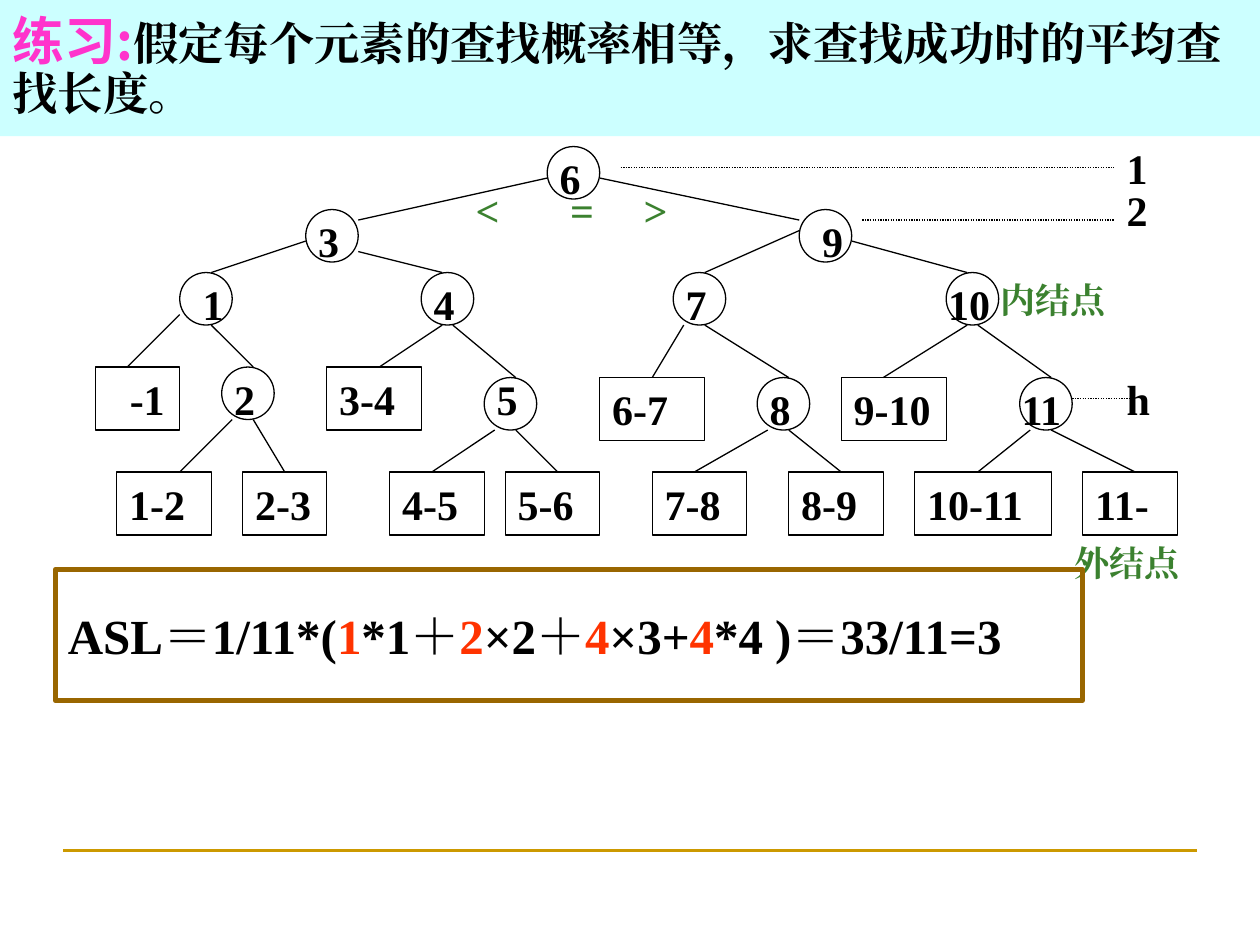
import pptx
import pptx.dml.color
import pptx.enum.dml
import pptx.enum.shapes
import pptx.enum.text
import pptx.oxml.ns
import pptx.util
from pptx.util import Inches

SERIF = "Times New Roman"
BLACK, GREEN, RED, PINK = "000000", "3B812F", "FF3300", "FF33CC"
GRID = 1 / 12
NODE_SIZE = 5
ROW_HEIGHT = 6

NODES = [
    ("6", 43, 1, 0, 0, 6), ("3", 20, 7, 0, 0, 6), ("9", 67, 7, 1, 0, 8),
    ("1", 8, 13, 1, 0, 7), ("4", 31, 13, 0, 0, 6), ("7", 55, 13, 0, 0, 6),
    ("10", 81, 13, -1, 0, 8), ("2", 12, 22, 0, 0, 5), ("5", 37, 23, 0, -1, 7),
    ("8", 63, 23, 0, 0, 7), ("11", 88, 23, -1, 0, 7),
]
LEAVES = [
    ("-1", 0, 22, 8), ("3-4", 22, 22, 9), ("6-7", 48, 23, 10), ("9-10", 71, 23, 10),
    ("1-2", 2, 32, 9), ("2-3", 14, 32, 8), ("4-5", 28, 32, 9), ("5-6", 39, 32, 9),
    ("7-8", 53, 32, 9), ("8-9", 66, 32, 9), ("10-11", 78, 32, 13), ("11-", 94, 32, 9),
]
BRANCHES = [
    (43, 4, 25, 8), (48, 4, 67, 8),
    (20, 10, 11, 13), (25, 11, 33, 13), (67, 9, 58, 13), (72, 10, 83, 13),
    (8, 17, 3, 22), (11, 18, 15, 22), (33, 18, 27, 22), (34, 18, 40, 23),
    (56, 18, 53, 23), (58, 18, 66, 23), (83, 18, 75, 23), (84, 18, 91, 23),
    (13, 27, 8, 32), (15, 27, 18, 32), (38, 28, 32, 32), (40, 28, 44, 32),
    (64, 28, 57, 32), (66, 28, 71, 32), (89, 28, 84, 32), (91, 28, 99, 32),
]
LEVEL_LINES = [(50, 3, 97, 3), (73, 8, 97, 8), (93, 25, 99, 25)]
CAPTIONS = [
    ("1", 97, 0, 6, 24, BLACK), ("2", 97, 4, 7, 24, BLACK), ("h", 97, 22, 6, 24, BLACK),
    ("外结点", 92, 38, 13, 20, GREEN), ("内结点", 85, 13, 13, 20, GREEN),
    (">", 51, 4, 9, 24, GREEN), ("<", 35, 4, 6, 24, GREEN), ("=", 44, 4, 7, 24, GREEN),
]


def color(hex_value):
    """Turn a hex string into a colour."""
    return pptx.dml.color.RGBColor.from_string(hex_value)


def write(shape, runs, **frame_format):
    """Fill a shape with one left-aligned paragraph of (text, size, colour, font) runs."""
    frame = shape.text_frame
    settings = {
        "word_wrap": True, "auto_size": pptx.enum.text.MSO_AUTO_SIZE.NONE,
        "vertical_anchor": pptx.enum.text.MSO_ANCHOR.TOP,
        "margin_left": Inches(0.1), "margin_right": Inches(0.1),
        "margin_top": Inches(0.05), "margin_bottom": Inches(0.05),
    }
    for name, value in (settings | frame_format).items():
        setattr(frame, name, value)
    paragraph = frame.paragraphs[0]
    paragraph.alignment = pptx.enum.text.PP_ALIGN.LEFT
    for text, size, hex_value, font_name in runs:
        run = paragraph.add_run()
        run.text = text
        font_format = {"size": pptx.util.Pt(size), "bold": True, "name": font_name}
        for name, value in font_format.items():
            setattr(run.font, name, value)
        run.font.color.rgb = color(hex_value)
        east_asian = run.font._element.makeelement(
            pptx.oxml.ns.qn("a:ea"), {"typeface": font_name})
        run.font._element.append(east_asian)
    return paragraph


def outline(slide, kind, box, hex_value=BLACK, width=0.75):
    """Add an unfilled preset shape with a plain outline."""
    shape = slide.shapes.add_shape(kind, *map(Inches, box))
    shape.shadow.inherit = False
    shape.fill.background()
    shape.line.color.rgb = color(hex_value)
    shape.line.width = pptx.util.Pt(width)
    return shape


def add_line(slide, ends, hex_value=BLACK, width=0.75, dash=None):
    """Draw a straight line between two points."""
    line = slide.shapes.add_connector(
        pptx.enum.shapes.MSO_CONNECTOR.STRAIGHT, *map(Inches, ends))
    properties = line._element.spPr
    line.line.color.rgb = color(hex_value)
    line.line.width = pptx.util.Pt(width)
    if dash:
        line.line.dash_style = dash
    properties.append(properties.makeelement(pptx.oxml.ns.qn("a:effectLst"), {}))


def add_label(slide, text, box, size=24, hex_value=BLACK):
    """Add a one-line text box."""
    label = slide.shapes.add_textbox(*map(Inches, box))
    write(label, [(text, size, hex_value, SERIF)])


def build_question(slide, box):
    """Place the exercise question in the title band."""
    question = slide.shapes.title
    for name, value in zip(("left", "top", "width", "height"), box):
        setattr(question, name, Inches(value))
    question.fill.solid()
    question.fill.fore_color.rgb = color("CCFFFF")
    paragraph = write(question, [
        ("练习:", 29.6, PINK, "Noto Sans CJK SC"),
        ("假定每个元素的查找概率相等，求查找成功时的平均查找长度。", 25.9, BLACK, SERIF),
    ], vertical_anchor=pptx.enum.text.MSO_ANCHOR.MIDDLE)
    paragraph.line_spacing = 0.9


def build_tree(slide, left, top):
    """Draw the search decision tree on a grid that starts at the given corner."""
    shapes = pptx.enum.shapes.MSO_SHAPE

    def place(x, y, width, height):
        return left + x * GRID, top + y * GRID, width * GRID, height * GRID

    def span(x1, y1, x2, y2):
        return left + x1 * GRID, top + y1 * GRID, left + x2 * GRID, top + y2 * GRID

    for key, x, y, dx, dy, width in NODES:
        outline(slide, shapes.OVAL, place(x, y, NODE_SIZE, NODE_SIZE))
        add_label(slide, key, place(x + dx, y + dy, width, ROW_HEIGHT))
    for interval, x, y, width in LEAVES:
        leaf = outline(slide, shapes.RECTANGLE, place(x, y, width, ROW_HEIGHT))
        indent = 0.27 if interval.startswith("-") else 0.1
        write(leaf, [(interval, 24, BLACK, SERIF)], margin_left=Inches(indent))
    for branch in BRANCHES:
        add_line(slide, span(*branch))
    for level in LEVEL_LINES:
        add_line(slide, span(*level), dash=pptx.enum.dml.MSO_LINE.ROUND_DOT)
    for text, x, y, width, size, hex_value in CAPTIONS:
        add_label(slide, text, place(x, y, width, ROW_HEIGHT), size, hex_value)


def build_answer(slide, box):
    """Place the framed average search length."""
    answer = outline(slide, pptx.enum.shapes.MSO_SHAPE.RECTANGLE, box, "996600", 3)
    parts = ["ASL＝1/11*(", "1", "*1＋", "2", "×2＋", "4", "×3+", "4", "*4 )＝33/11=3"]
    runs = [(part, 28, RED if i % 2 else BLACK, SERIF) for i, part in enumerate(parts)]
    write(answer, runs, vertical_anchor=pptx.enum.text.MSO_ANCHOR.MIDDLE)


def main():
    """Build and save the slide."""
    deck = pptx.Presentation()
    deck.slide_width, deck.slide_height = Inches(10), Inches(7.5)
    slide = deck.slides.add_slide(deck.slide_layouts.get_by_name("Title Only"))
    add_line(slide, (0.5, 6.75, 9.5, 6.75), "CC9900", 1.5)
    build_question(slide, (0, 0, 10, 1.08))
    build_tree(slide, 0.76, 1.08)
    build_answer(slide, (0.44, 4.52, 8.15, 1.04))
    deck.save("out.pptx")


if __name__ == "__main__":
    main()
